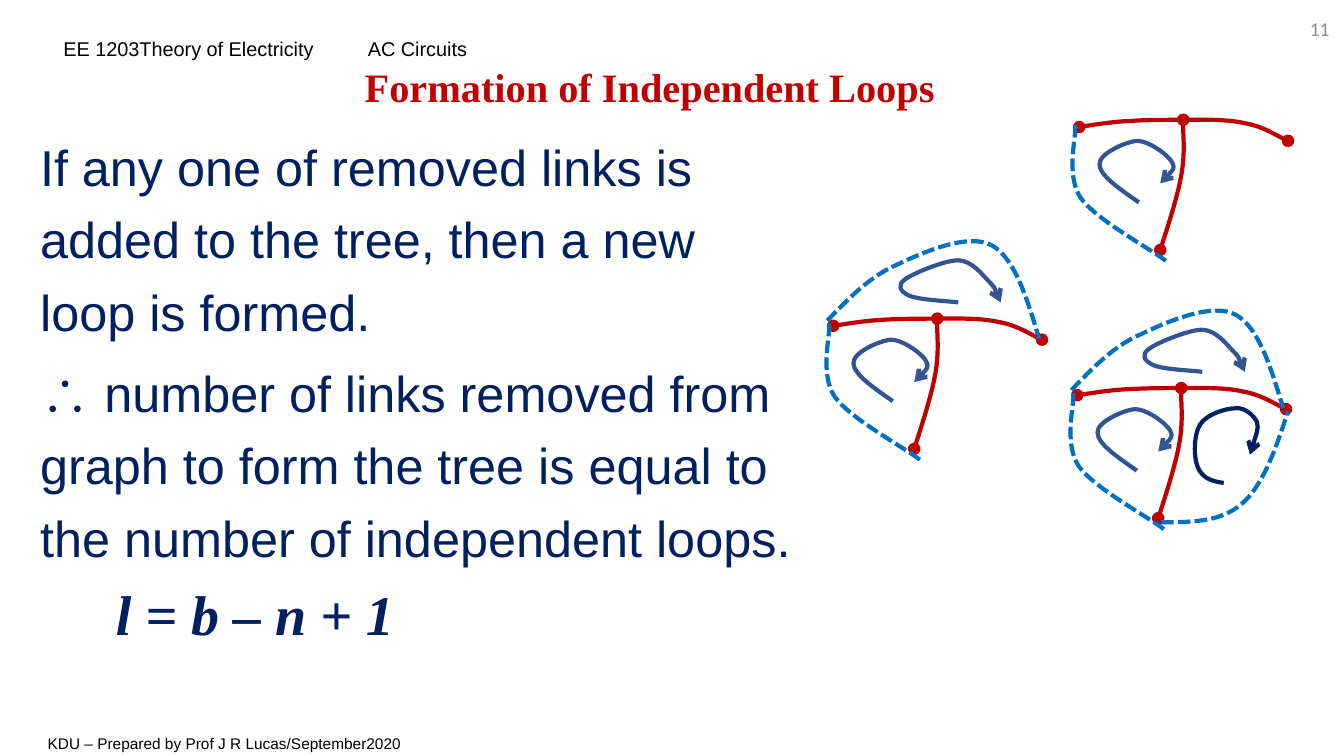
from lxml.etree import SubElement
from pptx import Presentation
from pptx.dml.color import RGBColor
from pptx.enum.dml import MSO_LINE_DASH_STYLE as Dash
from pptx.enum.text import MSO_ANCHOR as Anchor, MSO_AUTO_SIZE as AutoSize, PP_ALIGN as Align
from pptx.oxml.ns import qn
from pptx.util import Cm, Pt

COLORS = {"title": "C00000", "branch": "C00000", "text": "002060", "link": "0070C0",
          "loop": "325491", "right_loop": "002060", "number": "8C8C8C", "black": "000000"}

STEM = [(0.05, 0), (0.03, 0.23), (0.1, 0.84), (0, 1.4), (-0.1, 1.96), (-0.41, 2.9), (-0.53, 3.28)]
LEFT_BRANCH = [(-2.57, 0.18), (-2.36, 0.15), (-1.75, 0.05), (-1.32, 0.03),
               (-0.89, 0), (-0.25, 0), (0.03, 0)]
RIGHT_BRANCH = [(0, 0), (0.25, 0), (1.12, -0.03), (1.57, 0.08),
                (2.01, 0.15), (2.46, 0.43), (2.69, 0.53)]
LINKS = {
    "left": [(-2.67, 0.13), (-2.64, 0.43), (-2.92, 1.37), (-2.54, 1.96),
             (-2.16, 2.51), (-0.81, 3.23), (-0.38, 3.56)],
    "top": [(-2.72, 0.05), (-2.18, -0.51), (-1.65, -1.07), (-0.94, -1.37), (-0.25, -1.7),
            (0.84, -2.16), (1.42, -1.85), (2.01, -1.52), (2.31, -0.51), (2.62, 0.51)],
    "right": [(-0.46, 3.38), (0.3, 3.38), (1.04, 3.38), (1.57, 2.92),
              (2.11, 2.46), (2.44, 1.52), (2.74, 0.58)],
}
LOOPS = {
    "left": [(-1.07, 2.08), (-1.57, 1.73), (-2.06, 1.4), (-2.06, 1.12), (-2.08, 0.86),
             (-1.42, 0.56), (-1.12, 0.53), (-0.81, 0.53), (-0.33, 0.89), (-0.23, 1.07),
             (-0.15, 1.24), (-0.33, 1.42), (-0.53, 1.6)],
    "top": [(0.58, -0.41), (0.08, -0.46), (-0.43, -0.48), (-0.66, -0.58), (-0.89, -0.69),
            (-0.97, -0.84), (-0.76, -0.99), (-0.56, -1.14), (0.23, -1.47), (0.58, -1.47),
            (0.94, -1.45), (1.17, -1.12), (1.35, -0.94), (1.52, -0.76), (1.6, -0.58),
            (1.65, -0.41)],
    "right": [(1.12, 2.39), (0.71, 2.34), (0.56, 2.21), (0.46, 1.98), (0.36, 1.73),
              (0.36, 1.17), (0.53, 0.91), (0.69, 0.66), (1.17, 0.51), (1.42, 0.51),
              (1.65, 0.48), (1.88, 0.69), (1.96, 0.86), (2.01, 1.02), (1.83, 1.5),
              (1.83, 1.5), (1.8, 1.65), (1.78, 1.65), (1.78, 1.68)],
}
GRAPHS = [((29.77, 3.02), ["left"]),
          ((23.57, 8.03), ["left", "top"]),
          ((29.72, 9.78), ["right", "left", "top"])]


def place(sp, box):
    """Move a shape to a box given in centimetres."""
    sp.left, sp.top, sp.width, sp.height = map(Cm, box)


def add_run(p, text, font, size, color, bold=False, italic=False):
    """Append one formatted run."""
    r = p.add_run()
    r.text = text
    f = r.font
    f.name, f.size, f.bold, f.italic = font, Pt(size), bold, italic
    f.color.rgb = RGBColor.from_string(COLORS[color])


def prepare_frame(sp, margins=(0.25, 0.13)):
    """Set up a wrapping, middle-anchored text frame and return it."""
    tf = sp.text_frame
    tf.word_wrap = True
    tf.auto_size = AutoSize.NONE
    tf.vertical_anchor = Anchor.MIDDLE
    tf.margin_left = tf.margin_right = Cm(margins[0])
    tf.margin_top = tf.margin_bottom = Cm(margins[1])
    return tf


def add_label(s, box, text, font, size, color, margins=(0, 0), **style):
    """Add a one-paragraph text box and return its paragraph."""
    sp = s.shapes.add_textbox(*map(Cm, box))
    p = prepare_frame(sp, margins).paragraphs[0]
    add_run(p, text, font, size, color, **style)
    return p


def add_header(s, box):
    """Add the course line with its tab stop and the slide number."""
    left, top, width, height = box
    p = add_label(s, (left, top, 24.97, height), "EE 1203Theory of Electricity\tAC Circuits",
                  "Arial", 14.2, "black")
    tabs = SubElement(p._p.get_or_add_pPr(), qn("a:tabLst"))
    SubElement(tabs, qn("a:tab"), pos=str(Cm(7.67)), algn="l")
    number = add_label(s, (left + width - 1.42, 0.3, 1.42, 0.86), "11", "Calibri", 14, "number",
                       (0.25, 0.13))
    number.alignment = Align.RIGHT


def add_title(s, box):
    """Fill the title placeholder."""
    sp = s.shapes.title
    place(sp, box)
    p = prepare_frame(sp).paragraphs[0]
    p.alignment, p.line_spacing = Align.CENTER, 0.9
    add_run(p, "Formation of Independent Loops", "Times New Roman", 28.8, "title", bold=True)


def add_body(s, box):
    """Fill the body placeholder with the two statements."""
    sp = s.placeholders[1]
    place(sp, box)
    tf = prepare_frame(sp)
    statements = [
        [("If any one of removed links is added to the tree, then a new loop is formed.", "Arial")],
        [("∴", "Times New Roman"),
         (" number of links removed from graph to form the tree is equal to "
          "the number of independent loops.", "Arial")],
    ]
    for i, runs in enumerate(statements):
        p = tf.add_paragraph() if i else tf.paragraphs[0]
        p.line_spacing, p.space_before = 1.2, Pt(6 if i else 0)
        pPr = p._p.get_or_add_pPr()
        pPr.set("marL", "0")
        pPr.set("indent", "0")
        SubElement(pPr, qn("a:buNone"))
        for text, font in runs:
            add_run(p, text, font, 36, "text")


def add_curve(group, origin, points, color, dash=None, head=None, tail=None):
    """Draw a chain of cubic curves, with points relative to the origin."""
    x0, y0 = origin
    pts = [(Cm(x0 + x), Cm(y0 + y)) for x, y in points]
    builder = group.shapes.build_freeform(*pts[0])
    builder.add_line_segments(pts[1:], close=False)
    sp = builder.convert_to_shape()
    sp.shadow.inherit = False
    sp.fill.background()
    sp.line.color.rgb = RGBColor.from_string(COLORS[color])
    sp.line.width = Pt(3)
    if dash:
        sp.line.dash_style = dash
    ln = sp._element.spPr.find(qn("a:ln"))
    for tag, kind in (("a:headEnd", head), ("a:tailEnd", tail)):
        if kind:
            SubElement(ln, qn(tag), type=kind)
    segments = list(sp._element.iter(qn("a:lnTo")))
    for i in range(0, len(segments), 3):
        curve = SubElement(segments[i].getparent(), qn("a:cubicBezTo"))
        for seg in segments[i:i + 3]:
            seg.getparent().remove(seg)
            curve.append(seg[0])


def add_graph(s, junction, names):
    """Draw the tree around its junction with the named links and loops."""
    group = s.shapes.add_group_shape()
    add_curve(group, junction, STEM, "branch", head="oval", tail="oval")
    add_curve(group, junction, LEFT_BRANCH, "branch", head="oval")
    add_curve(group, junction, RIGHT_BRANCH, "branch", tail="oval")
    for name in names:
        add_curve(group, junction, LINKS[name], "link", dash=Dash.SQUARE_DOT)
        color = "right_loop" if name == "right" else "loop"
        add_curve(group, junction, LOOPS[name], color, tail="arrow")


def main():
    """Build the slide and save it."""
    prs = Presentation()
    prs.slide_width, prs.slide_height = Cm(33.87), Cm(19.05)
    s = prs.slides.add_slide(prs.slide_layouts[1])
    add_header(s, (1.6, 0.9, 32.16, 0.64))
    add_label(s, (1.2, 18.5, 9.27, 0.48), "KDU – Prepared by Prof J R Lucas/September2020",
              "Arial", 11, "black")
    add_title(s, (1.2, 1.57, 30.35, 1.35))
    add_body(s, (0.76, 3.02, 19.66, 11.38))
    add_label(s, (2.67, 14.48, 10.21, 1.96), "l = b – n + 1", "Times New Roman", 40, "text",
              (0.25, 0.13), bold=True, italic=True)
    for junction, names in GRAPHS:
        add_graph(s, junction, names)
    prs.save("out.pptx")


if __name__ == "__main__":
    main()
